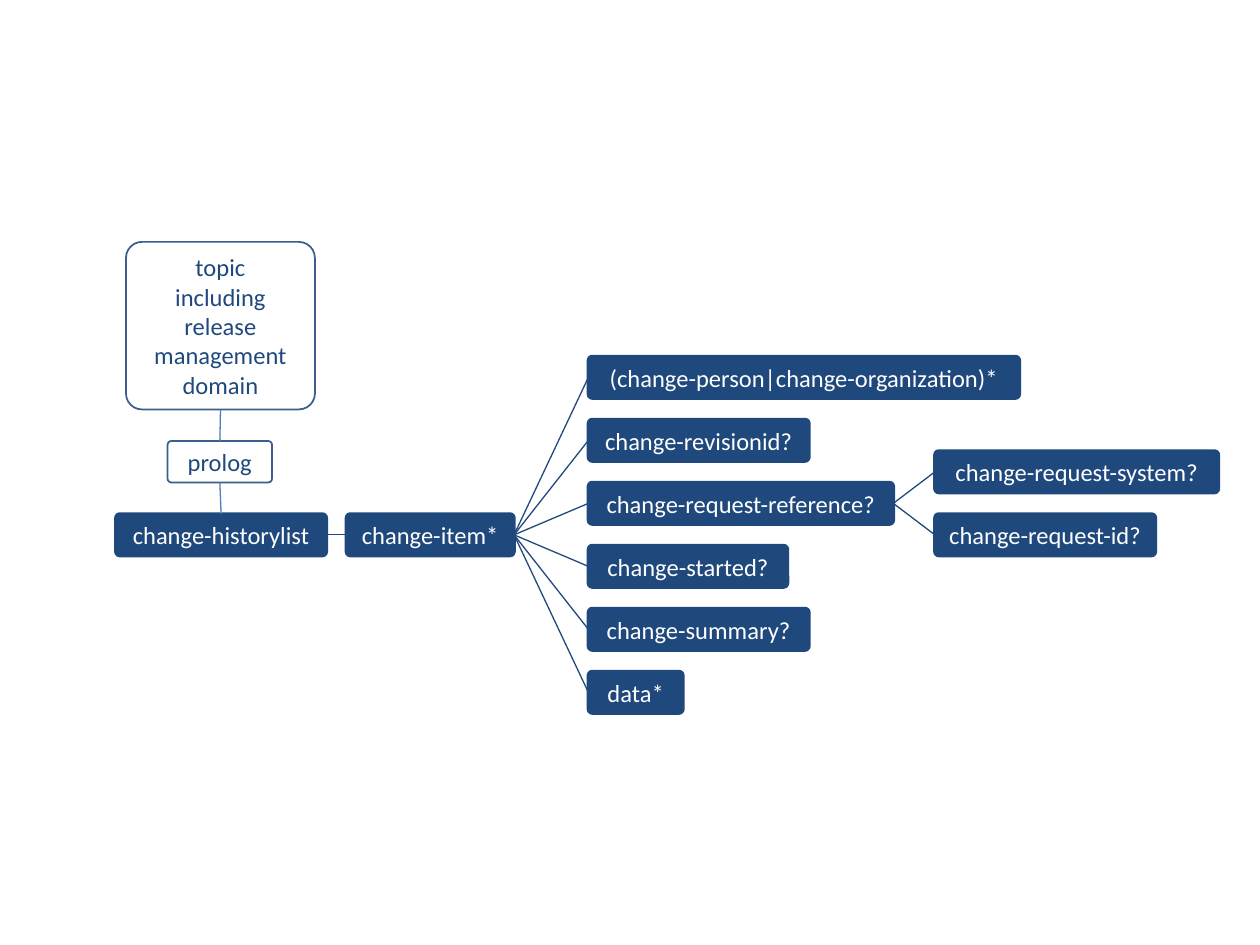
from lxml import etree
from pptx import Presentation
from pptx.dml.color import RGBColor
from pptx.enum.shapes import MSO_CONNECTOR, MSO_SHAPE
from pptx.enum.text import MSO_ANCHOR, PP_ALIGN
from pptx.oxml.ns import qn
from pptx.util import Inches, Pt

ROUNDED = MSO_SHAPE.ROUNDED_RECTANGLE
STRAIGHT = MSO_CONNECTOR.STRAIGHT
MIDDLE = MSO_ANCHOR.MIDDLE
CENTER = PP_ALIGN.CENTER
TOP, LEFT, BOTTOM, RIGHT = range(4)
COLORS = {"navy": "1F497D", "outline": "3A5F8C", "link": "4B7EBC", "white": "FFFFFF"}
ROW_HEIGHT = 0.33
ROW_STEP = 0.5

prs = Presentation()
prs.slide_width = Inches(10)
prs.slide_height = Inches(7.5)
slide = prs.slides.add_slide(prs.slide_layouts[6])


def add_element(text, parent=slide, left=0, top=0, width=1, height=ROW_HEIGHT,
                filled=True, inset=0.05):
    element = parent.shapes.add_shape(
        ROUNDED, Inches(left), Inches(top), Inches(width), Inches(height))
    element.adjustments[0] = 0.096
    element.shadow.inherit = False
    if filled:
        element.fill.solid()
        element.fill.fore_color.rgb = RGBColor.from_string(COLORS["navy"])
    else:
        element.fill.background()
    element.line.color.rgb = RGBColor.from_string(COLORS["navy" if filled else "outline"])
    element.line.width = Pt(2 if filled else 1)
    frame = element.text_frame
    frame.word_wrap = True
    frame.vertical_anchor = MIDDLE
    frame.margin_left = frame.margin_right = Inches(inset)
    frame.text = text
    for paragraph in frame.paragraphs:
        paragraph.alignment = CENTER
        font = paragraph.font
        for run in paragraph.runs:
            font = run.font
            font.name = "Calibri"
            font.size = Pt(14)
            font.color.rgb = RGBColor.from_string(COLORS["white" if filled else "navy"])
    return element


def connect(parent, child, start=RIGHT, end=LEFT, color="navy"):
    link = slide.shapes.add_connector(STRAIGHT, 0, 0, 0, 0)
    link.begin_connect(parent, start)
    link.end_connect(child, end)
    link.line.color.rgb = RGBColor.from_string(COLORS[color])
    link.line.width = Pt(0.75)
    etree.SubElement(link._element.spPr, qn("a:effectLst"))


topic = add_element("topic\nincluding release management domain", left=1, top=1.92,
                    width=1.5, height=1.33, filled=False, inset=0.1)
prolog = add_element("prolog", left=1.33, top=3.5, width=0.83, filled=False)
history = add_element("change-historylist", left=0.92, top=4.08, width=1.67)
item = add_element("change-item*", left=2.75, top=4.08, width=1.33)

item_parts = [
    ("(change-person|change-organization)*", 3.42),
    ("change-revisionid?", 1.75),
    ("change-request-reference?", 2.42),
    ("change-started?", 1.58),
    ("change-summary?", 1.75),
    ("data*", 0.75),
]
request_parts = [("change-request-system?", 2.25), ("change-request-id?", 1.75)]

item_group = slide.shapes.add_group_shape()
item_children = [
    add_element(name, parent=item_group, left=4.67, top=2.83 + row * ROW_STEP, width=width)
    for row, (name, width) in enumerate(item_parts)
]
request_group = slide.shapes.add_group_shape()
request_children = [
    add_element(name, parent=request_group, left=7.42, top=3.58 + row * ROW_STEP, width=width)
    for row, (name, width) in enumerate(request_parts)
]

request_reference = item_children[2]
for child in request_children:
    connect(request_reference, child)
connect(history, item)
connect(topic, prolog, start=BOTTOM, end=TOP, color="link")
connect(prolog, history, start=BOTTOM, end=TOP, color="link")
for child in item_children:
    connect(item, child)

prs.save("out.pptx")
